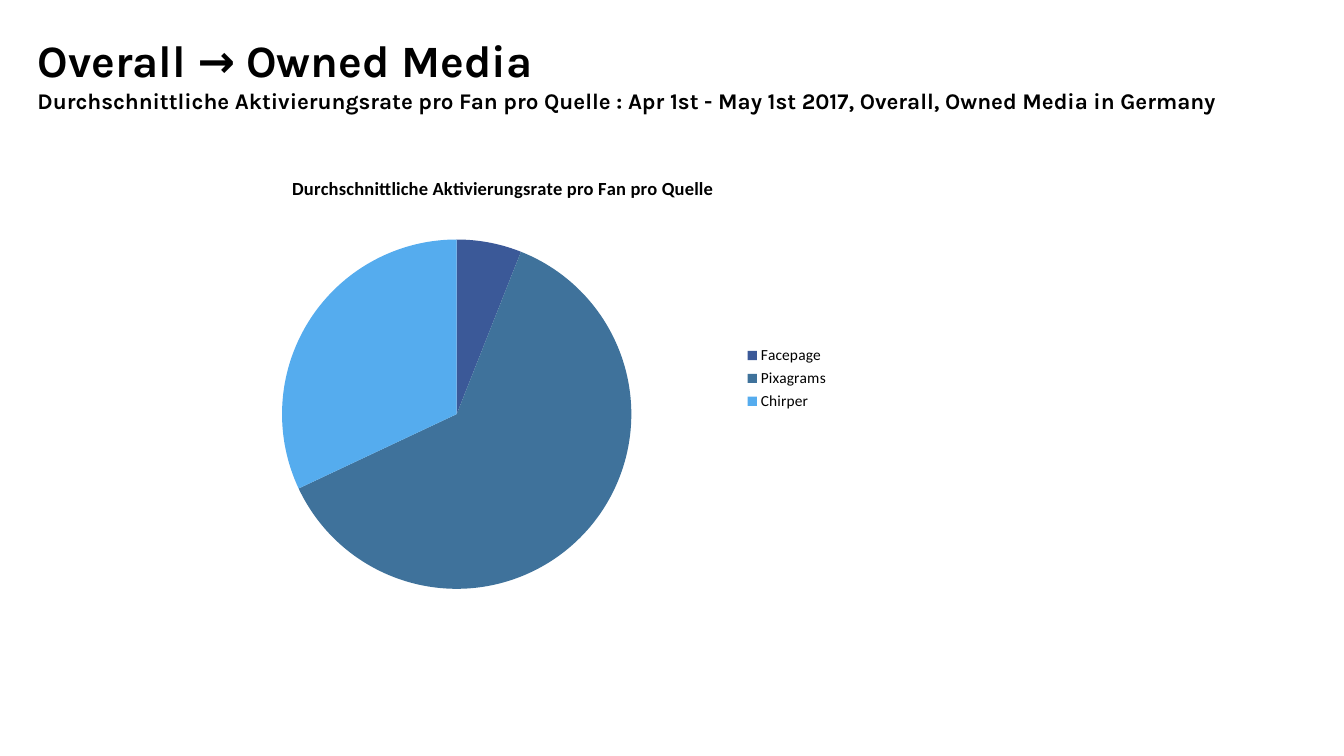
"""Build the slide on the average activation rate per fan and source."""
from lxml.etree import SubElement
from pptx import Presentation
from pptx.chart.data import CategoryChartData
from pptx.dml.color import RGBColor as RGB
from pptx.enum.chart import XL_CHART_TYPE as ChartType, XL_LEGEND_POSITION as LegendPos
from pptx.enum.text import MSO_ANCHOR as Anchor, MSO_AUTO_SIZE as AutoSize, PP_ALIGN as Align
from pptx.oxml.ns import qn
from pptx.util import Cm, Pt

COLORS = {"text": "000000", "Facepage": "3B5998", "Pixagrams": "3F729B", "Chirper": "55ACEE"}
SHARES = {"Facepage": 6, "Pixagrams": 62, "Chirper": 32}
METRIC = "Durchschnittliche Aktivierungsrate pro Fan pro Quelle"


def set_font(font, name, size, bold):
    for key, value in {"name": name, "size": Pt(size), "bold": bold}.items():
        setattr(font, key, value)
    font.color.rgb = RGB.from_string(COLORS["text"])


def set_layout(parent, index, fractions):
    for old in parent.findall(qn("c:layout")):
        parent.remove(old)
    layout = SubElement(parent, qn("c:layout"))
    parent.insert(index, layout)
    manual = SubElement(layout, qn("c:manualLayout"))
    for tag, value in fractions.items():
        SubElement(manual, qn(f"c:{tag}")).set("val", str(value))


prs = Presentation()
prs.slide_width, prs.slide_height = Cm(33.87), Cm(19.05)
s = prs.slides.add_slide(prs.slide_layouts[0])

headings = [
    (s.shapes.title, "Overall → Owned Media", 32, 0.69, 0.58),
    (s.placeholders[1], f"{METRIC} : Apr 1st - May 1st 2017, Overall, Owned Media in Germany",
     16, 2.08, 3.07),
]
for sp, text, size, top, height in headings:
    box = {"left": Cm(0.69), "top": Cm(top), "width": Cm(30.48), "height": Cm(height)}
    for key, value in box.items():
        setattr(sp, key, value)
    tf = sp.text_frame
    frame = {"word_wrap": True, "auto_size": AutoSize.NONE, "vertical_anchor": Anchor.TOP}
    for key, value in frame.items():
        setattr(tf, key, value)
    p = tf.paragraphs[0]
    p.alignment, p.space_before = Align.LEFT, Pt(0)
    r = p.add_run()
    r.text = text
    set_font(r.font, "Karla", size, True)

data = CategoryChartData()
data.categories = list(SHARES)
data.add_series("Series 1", list(SHARES.values()))
chart = s.shapes.add_chart(ChartType.PIE, Cm(4.23), Cm(3.89), Cm(16.93), Cm(11.29), data).chart
set_font(chart.font, "Calibri", 11, False)

chart.has_title = True
p = chart.chart_title.text_frame.paragraphs[0]
r = p.add_run()
r.text = METRIC
set_font(r.font, "Calibri", 13.2, True)
title_xml = chart.chart_title.format.spPr if hasattr(chart.chart_title.format, "spPr") else None
title_xml = chart.element.find(".//" + qn("c:title"))
set_layout(title_xml, 1, {"xMode": "edge", "yMode": "edge", "x": 0.18, "y": 0.04})
set_layout(chart.element.find(".//" + qn("c:plotArea")), 0,
           {"layoutTarget": "inner", "xMode": "edge", "yMode": "edge",
            "x": 0.17, "y": 0.19, "w": 0.52, "h": 0.78})

chart.has_legend = True
chart.legend.position = LegendPos.RIGHT
chart.legend.include_in_layout = False

plot = chart.plots[0]
plot.vary_by_categories = True
for i, source in enumerate(SHARES):
    fill = plot.series[0].points[i].format.fill
    fill.solid()
    fill.fore_color.rgb = RGB.from_string(COLORS[source])

prs.save("out.pptx")
